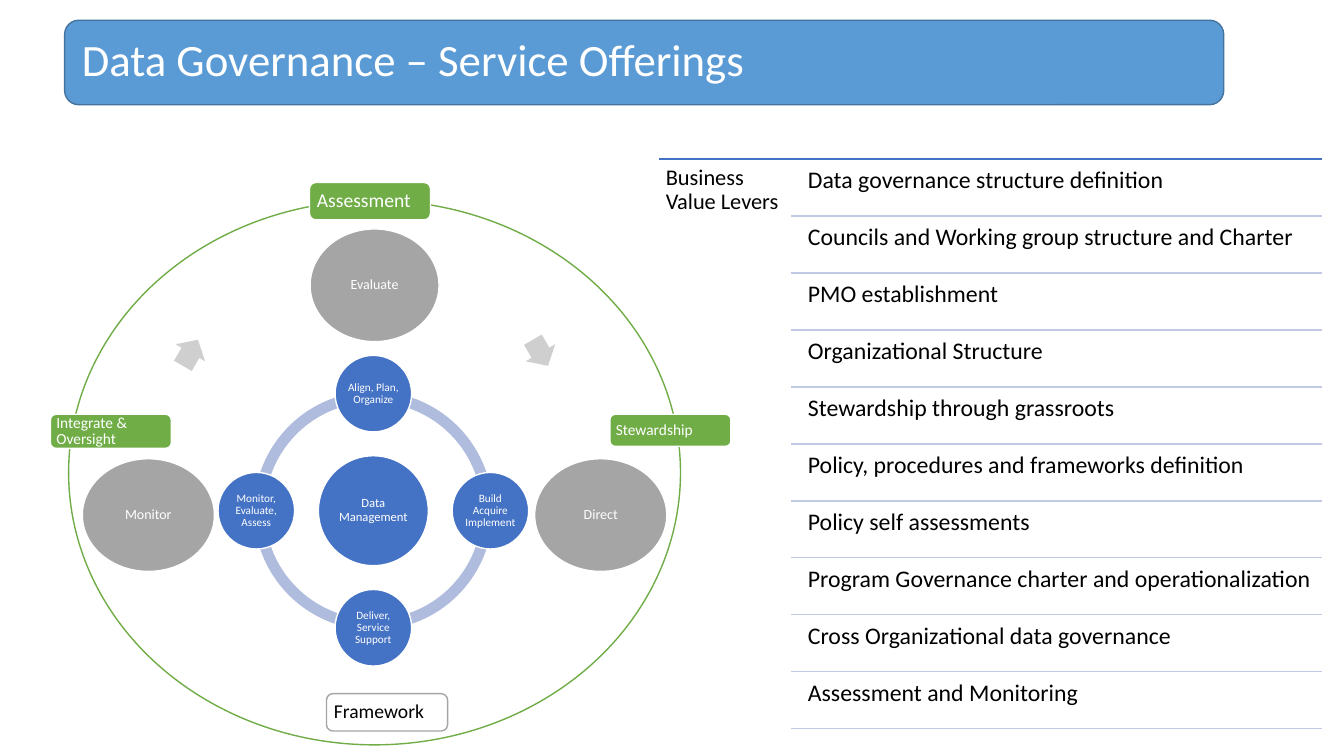
from collections import namedtuple

from lxml import etree
from pptx import Presentation
from pptx.dml.color import RGBColor
from pptx.enum.shapes import MSO_CONNECTOR, MSO_SHAPE
from pptx.enum.text import MSO_ANCHOR, PP_ALIGN
from pptx.oxml.ns import qn
from pptx.util import Cm, Pt

ARC, OVAL = MSO_SHAPE.BLOCK_ARC, MSO_SHAPE.OVAL
ROUNDED, ARROW = MSO_SHAPE.ROUNDED_RECTANGLE, MSO_SHAPE.RIGHT_ARROW
STRAIGHT = MSO_CONNECTOR.STRAIGHT
TOP, MIDDLE = MSO_ANCHOR.TOP, MSO_ANCHOR.MIDDLE
LEFT, CENTER = PP_ALIGN.LEFT, PP_ALIGN.CENTER

FONT = "Calibri"
WHITE, BLACK = "FFFFFF", "000000"
BLUE, GREEN, GREY = "4472C4", "70AD47", "A5A5A5"
RING_BLUE, RULE_BLUE, ARROW_GREY = "B0BCDE", "C1C9E4", "CFCFCF"
TITLE_FILL, TITLE_LINE = "5B9BD5", "43739E"

LEVERS = [
    "Data governance structure definition",
    "Councils and Working group structure and Charter",
    "PMO establishment",
    "Organizational Structure",
    "Stewardship through grassroots",
    "Policy, procedures and frameworks definition",
    "Policy self assessments",
    "Program Governance charter and operationalization",
    "Cross Organizational data governance",
    "Assessment and Monitoring",
]
STAGES = [
    ("Align, Plan, Organize", 0, -1),
    ("Build Acquire Implement", 1, 0),
    ("Deliver, Service Support", 0, 1),
    ("Monitor, Evaluate, Assess", -1, 0),
]

Box = namedtuple("Box", "left top width height")


def color(hex_text):
    """Turn a hex string into a colour."""
    return RGBColor.from_string(hex_text)


def lengths(box):
    """Give the four measures of a box as lengths."""
    return [Cm(value) for value in box]


def centered(x, y, width, height):
    """Give the box of a size around a centre."""
    return Box(x - width / 2, y - height / 2, width, height)


def write(shape, text, size, ink=WHITE, align=LEFT, anchor=MIDDLE, inset=0.15):
    """Fill a shape with one formatted paragraph."""
    frame = shape.text_frame
    frame.word_wrap = True
    frame.vertical_anchor = anchor
    frame.margin_left = frame.margin_right = Cm(inset)
    frame.margin_top = frame.margin_bottom = Cm(inset)
    para = frame.paragraphs[0]
    para.alignment = align
    para.line_spacing = 0.9
    span = para.add_run()
    span.text = text
    span.font.name = FONT
    span.font.size = Pt(size)
    span.font.color.rgb = color(ink)


def add_figure(page, kind, box, fill=None, line=None):
    """Add a preset shape with a plain fill and outline."""
    shape = page.shapes.add_shape(kind, *lengths(box))
    shape.shadow.inherit = False
    if fill:
        shape.fill.solid()
        shape.fill.fore_color.rgb = color(fill)
    else:
        shape.fill.background()
    if line:
        shape.line.color.rgb = color(line)
        shape.line.width = Pt(1)
    else:
        shape.line.fill.background()
    return shape


def add_rule(page, left, right, y, ink):
    """Draw a horizontal rule."""
    rule = page.shapes.add_connector(STRAIGHT, Cm(left), Cm(y), Cm(right), Cm(y))
    rule.line.color.rgb = color(ink)
    rule.line.width = Pt(1)
    etree.SubElement(rule._element.spPr, qn("a:effectLst"))


def add_title(page, box):
    """Draw the title bar."""
    bar = add_figure(page, ROUNDED, box, TITLE_FILL, TITLE_LINE)
    write(bar, "Data Governance – Service Offerings", 32, inset=0.33)


def add_management_ring(page, box):
    """Draw the data management hub with its ring of four stages."""
    for start in range(0, 360, 90):
        arc = add_figure(page, ARC, box, RING_BLUE)
        arc.adjustments[0] = start * 0.6
        arc.adjustments[1] = (start + 90) % 360 * 0.6
        arc.adjustments[2] = 0.046
    x, y = box.left + box.width / 2, box.top + box.height / 2
    reach = box.width * 0.49
    hub = add_figure(page, OVAL, centered(x, y, 2.77, 2.77), BLUE, WHITE)
    write(hub, "Data Management", 9, align=CENTER, inset=0.03)
    for text, across, down in STAGES:
        place = centered(x + across * reach, y + down * reach, 1.93, 1.93)
        stage = add_figure(page, OVAL, place, BLUE, WHITE)
        write(stage, text, 8, align=CENTER, inset=0.03)


def add_governance_cycle(page, box):
    """Draw the outer cycle with its functions, arrows and labels."""
    x = box.left + box.width / 2
    functions = [
        ("Evaluate", x, 2.14, 3.25),
        ("Direct", x + 5.7, 7.93, 3.33),
        ("Monitor", x - 5.7, 7.93, 3.33),
    ]
    for text, middle, down, width in functions:
        place = centered(middle, box.top + down, width, 2.84)
        write(add_figure(page, OVAL, place, GREY, WHITE), text, 10, align=CENTER)

    for side, angle in ((4.18, 60), (-4.64, 300)):
        place = centered(x + side, box.top + 3.84, 0.76, 0.86)
        arrow = add_figure(page, ARROW, place, ARROW_GREY)
        arrow.adjustments[0] = 0.6
        arrow.adjustments[1] = 0.5
        arrow.rotation = angle

    add_figure(page, OVAL, box, line=GREEN)
    labels = [
        ("Framework", 6.5, 12.43, 0.94, 14, WHITE, GREY, BLACK),
        ("Assessment", 6.07, -0.45, 0.94, 14, GREEN, WHITE, WHITE),
        ("Stewardship", 13.64, 5.39, 0.81, 11, GREEN, WHITE, WHITE),
        ("Integrate & Oversight", -0.46, 5.39, 0.86, 11, GREEN, WHITE, WHITE),
    ]
    for text, across, down, height, size, fill, line, ink in labels:
        place = Box(box.left + across, box.top + down, 3.05, height)
        label = add_figure(page, ROUNDED, place, fill, line)
        write(label, text, size, ink, inset=size * 0.01)


def add_value_levers(page, box):
    """List the business value levers between rules."""
    right = box.left + box.width
    pitch = box.height / len(LEVERS)
    add_rule(page, box.left, right, box.top, BLUE)
    heading = page.shapes.add_textbox(*lengths(box._replace(width=3.35)))
    write(heading, "Business Value Levers", 16, BLACK, anchor=TOP, inset=0.17)
    for index, text in enumerate(LEVERS):
        top = box.top + index * pitch
        place = Box(box.left + 3.58, top + 0.06, box.width - 3.58, 1.37)
        lever = page.shapes.add_textbox(*lengths(place))
        write(lever, text, 17, BLACK, anchor=TOP, inset=0.17)
        add_rule(page, box.left + 3.33, right, top + pitch, RULE_BLUE)


def main():
    """Build the slide and save it."""
    deck = Presentation()
    deck.slide_width, deck.slide_height = Cm(33.87), Cm(19.05)
    page = deck.slides.add_slide(deck.slide_layouts[6])
    add_management_ring(page, Box(6.4, 9.86, 6.02, 6.02))
    add_governance_cycle(page, Box(1.73, 5.05, 15.42, 13.72))
    add_value_levers(page, Box(16.61, 4.01, 16.71, 14.35))
    add_title(page, Box(1.63, 0.51, 29.21, 2.13))
    deck.save("out.pptx")


if __name__ == "__main__":
    main()
